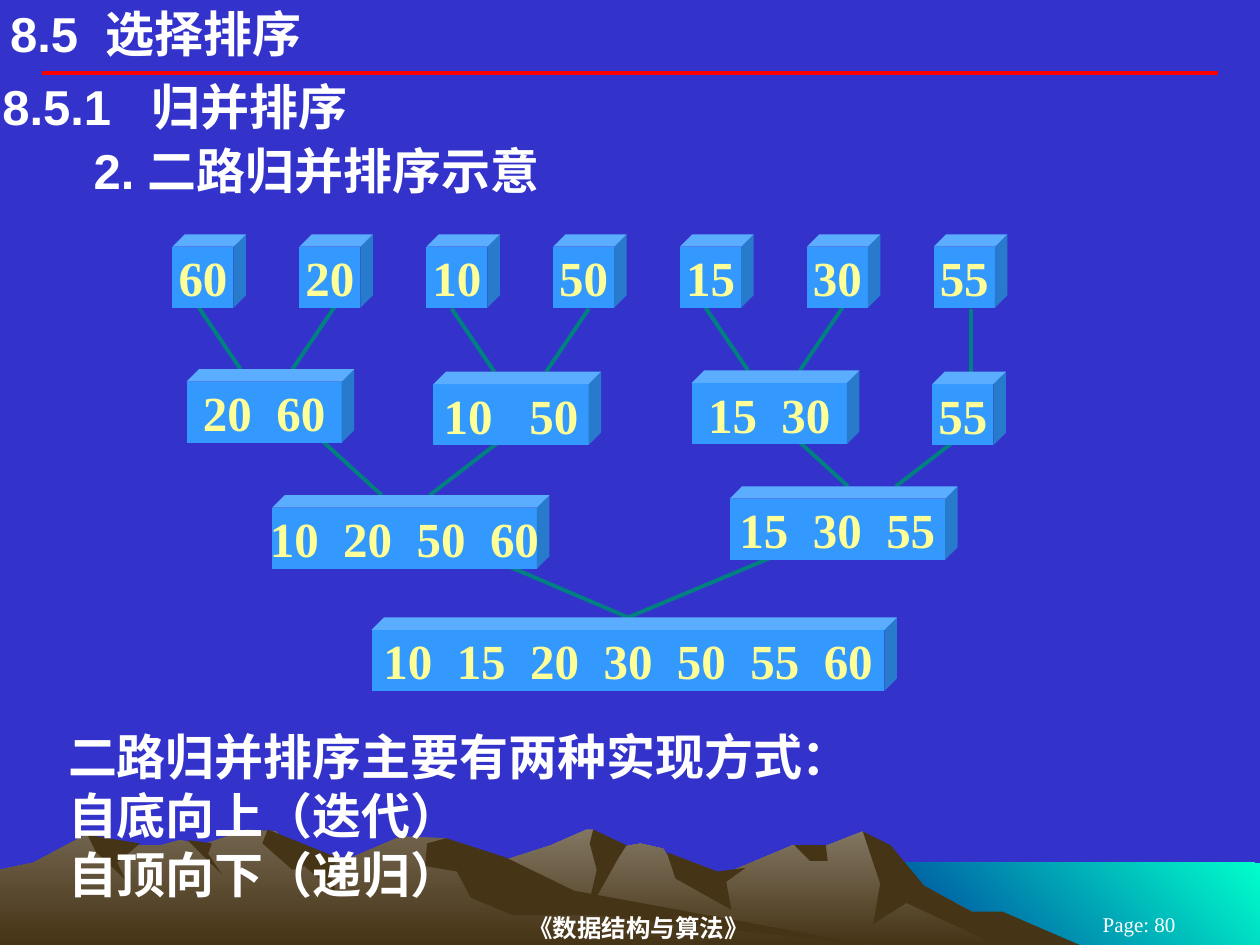
from dataclasses import dataclass

from lxml.etree import SubElement
from pptx import Presentation
from pptx.dml.color import RGBColor
from pptx.enum.shapes import MSO_CONNECTOR, MSO_SHAPE
from pptx.enum.text import MSO_ANCHOR, MSO_AUTO_SIZE, PP_ALIGN
from pptx.oxml.ns import qn
from pptx.util import Pt


@dataclass(frozen=True)
class Theme:
    background: str = "3333CC"
    white: str = "FFFFFF"
    rule: str = "FF0000"
    branch: str = "008080"
    cube: str = "3399FF"
    number: str = "FFFF97"
    shadow: str = "463416"
    right_slope: tuple = ("837763", "463416")
    left_slope: tuple = ("72644E", "463416")
    water: tuple = ("00FFCC", "003399")
    sans: str = "Arial"
    serif: str = "Times New Roman"
    body_size: int = 28
    footer_size: int = 14
    page_size: int = 12
    line_width: float = 2.25


theme = Theme()


def write(frame, lines, font, size, color, bold=True, align=PP_ALIGN.LEFT,
          anchor=MSO_ANCHOR.TOP, insets=(7.2, 3.6), wrap=True):
    frame.auto_size = MSO_AUTO_SIZE.NONE
    frame.word_wrap = wrap
    frame.vertical_anchor = anchor
    frame.margin_left = frame.margin_right = Pt(insets[0])
    frame.margin_top = frame.margin_bottom = Pt(insets[1])
    frame.text = "\n".join(lines)
    for paragraph in frame.paragraphs:
        paragraph.alignment = align
        paragraph.font.name = font
        paragraph.font.size = Pt(size)
        paragraph.font.bold = bold
        paragraph.font.color.rgb = RGBColor.from_string(color)


def draw_line(x1, y1, x2, y2, color):
    line = slide.shapes.add_connector(
        MSO_CONNECTOR.STRAIGHT, Pt(x1), Pt(y1), Pt(x2), Pt(y2))
    line.line.color.rgb = RGBColor.from_string(color)
    line.line.width = Pt(theme.line_width)
    SubElement(line._element.spPr, qn("a:effectLst"))


prs = Presentation()
prs.slide_width, prs.slide_height = Pt(720), Pt(540)
slide = prs.slides.add_slide(prs.slide_layouts[5])
slide.background.fill.solid()
slide.background.fill.fore_color.rgb = RGBColor.from_string(theme.background)

# Landscape: fill, gradient angle, outline points
landscape = [
    (theme.water, 225, [(720, 540), (492, 540), (492, 493), (720, 493)]),
    (theme.right_slope, 270, [
        (591, 540), (521, 503), (493, 475), (473, 483), (453, 483), (408, 502),
        (386, 497), (379, 485), (366, 482), (350, 485), (339, 474), (335, 474),
        (315, 483), (284, 493), (235, 510), (186, 540)]),
    (theme.shadow, None, [
        (493, 475), (503, 505), (499, 528), (518, 516), (570, 540), (617, 540),
        (573, 521), (555, 521), (528, 506), (509, 483)]),
    (theme.shadow, None, [
        (339, 474), (337, 482), (341, 497), (335, 523), (353, 491), (358, 483)]),
    (theme.shadow, None, [
        (381, 487), (386, 502), (418, 520), (415, 504), (426, 496), (410, 498)]),
    (theme.shadow, None, [(454, 483), (463, 492), (473, 492), (472, 483)]),
    (theme.left_slope, 270, [
        (497, 540), (311, 513), (255, 479), (229, 478), (201, 490), (170, 490),
        (158, 475), (141, 474), (115, 483), (103, 480), (92, 483), (68, 483),
        (49, 477), (19, 493), (0, 497), (0, 540)]),
    (theme.shadow, None, [
        (153, 474), (150, 482), (167, 497), (174, 495), (192, 510), (188, 496),
        (195, 491)]),
    (theme.shadow, None, [
        (255, 479), (244, 482), (243, 495), (261, 498), (269, 513), (293, 523),
        (340, 523), (497, 540), (328, 509), (289, 490)]),
    (theme.shadow, None, [(107, 480), (121, 482), (119, 488), (127, 500)]),
    (theme.shadow, None, [
        (50, 477), (80, 482), (67, 493), (72, 503), (55, 487)]),
]
for paint, angle, outline in landscape:
    builder = slide.shapes.build_freeform(*outline[0], scale=Pt(1))
    builder.add_line_segments(outline[1:], close=True)
    terrain = builder.convert_to_shape()
    terrain.shadow.inherit = False
    terrain.line.fill.background()
    if angle is None:
        terrain.fill.solid()
        terrain.fill.fore_color.rgb = RGBColor.from_string(paint)
    else:
        terrain.fill.gradient()
        terrain.fill.gradient_angle = angle
        for stop, color in zip(terrain.fill.gradient_stops, paint):
            stop.color.rgb = RGBColor.from_string(color)

# Title and the rule below it
title = slide.shapes.title
title.left, title.top, title.width, title.height = Pt(5.8), Pt(2.2), Pt(468), Pt(34)
write(title.text_frame, ["8.5  选择排序"], theme.sans, theme.body_size,
      theme.white, insets=(0, 0))
draw_line(24, 41.8, 696, 41.8, theme.rule)

# Headings, closing remarks and footer
left_text = dict(font=theme.sans, size=theme.body_size, color=theme.white)
footer_text = dict(font=theme.serif, color=theme.white, align=PP_ALIGN.CENTER,
                   anchor=MSO_ANCHOR.MIDDLE)
texts = [
    ((0, 43.2, 720, 35.3), ["8.5.1   归并排序"], dict(left_text, insets=(1.4, 0.7))),
    ((46.4, 77, 670, 41), ["2. 二路归并排序示意"], left_text),
    ((31.8, 411.8, 688, 108),
     ["二路归并排序主要有两种实现方式：", "自底向上（迭代）", "自顶向下（递归）"], left_text),
    ((146.8, 519.8, 436.3, 20.2), ["《数据结构与算法》"],
     dict(footer_text, size=theme.footer_size, insets=(0, 0.7))),
    ((594, 522, 113.8, 12.2), ["Page: 80"],
     dict(footer_text, size=theme.page_size, bold=False)),
]
for box, lines, style in texts:
    write(slide.shapes.add_textbox(*map(Pt, box)).text_frame, lines, **style)

# Merge tree: the first row and its pairs share one step
first_left, step, cube_size = 98.6, 72.5, 42
pair_tops = [211, 212.4, 211.7]

# Branches of the pairs, drawn before the cubes that cover their ends
for i, top in enumerate(pair_tops):
    center = first_left + 53.7 + 2 * step * i
    for side in (-1, 1):
        draw_line(center + side * 39.2, top - 36, center + side * 14.8, top,
                  theme.branch)
draw_line(555.1, 176.4, 555.1, 212.4, theme.branch)

# Branches of the runs of four and three, which have the same form
for x, y in [(172.8, 283), (439.2, 277.9)]:
    draw_line(x, y - 41.4, x + 45.4, y, theme.branch)
    draw_line(x + 119.5, y - 36, x + 72.7, y, theme.branch)

# Branches of the sorted result
for x in (257.8, 462.2):
    draw_line(x, 309.6, 359, 352.8, theme.branch)

# Cubes: left, top, width, numbers
cubes = [(first_left + step * i, 133.9, cube_size, number)
         for i, number in enumerate(["60", "20", "10", "50", "15", "30", "55"])]
cubes += [(left, top, 95.8, pair) for left, top, pair in zip(
    [106.6, 247.7, 395.3], pair_tops, ["20  60", "10   50", "15  30"])]
cubes += [
    (532.8, 212.4, cube_size, "55"),
    (155.5, 283, 158.4, "10  20  50  60"),
    (416.9, 277.9, 130.3, "15  30  55"),
    (212.4, 352.8, 300.2, "10  15  20  30  50  55  60"),
]
for left, top, width, numbers in cubes:
    cube = slide.shapes.add_shape(
        MSO_SHAPE.CUBE, Pt(left), Pt(top), Pt(width), Pt(cube_size))
    cube.adjustments[0] = 0.17
    cube.shadow.inherit = False
    cube.fill.solid()
    cube.fill.fore_color.rgb = RGBColor.from_string(theme.cube)
    cube.line.fill.background()
    write(cube.text_frame, [numbers], theme.serif, theme.body_size, theme.number,
          align=PP_ALIGN.CENTER, anchor=MSO_ANCHOR.MIDDLE, wrap=False)

prs.save("out.pptx")
